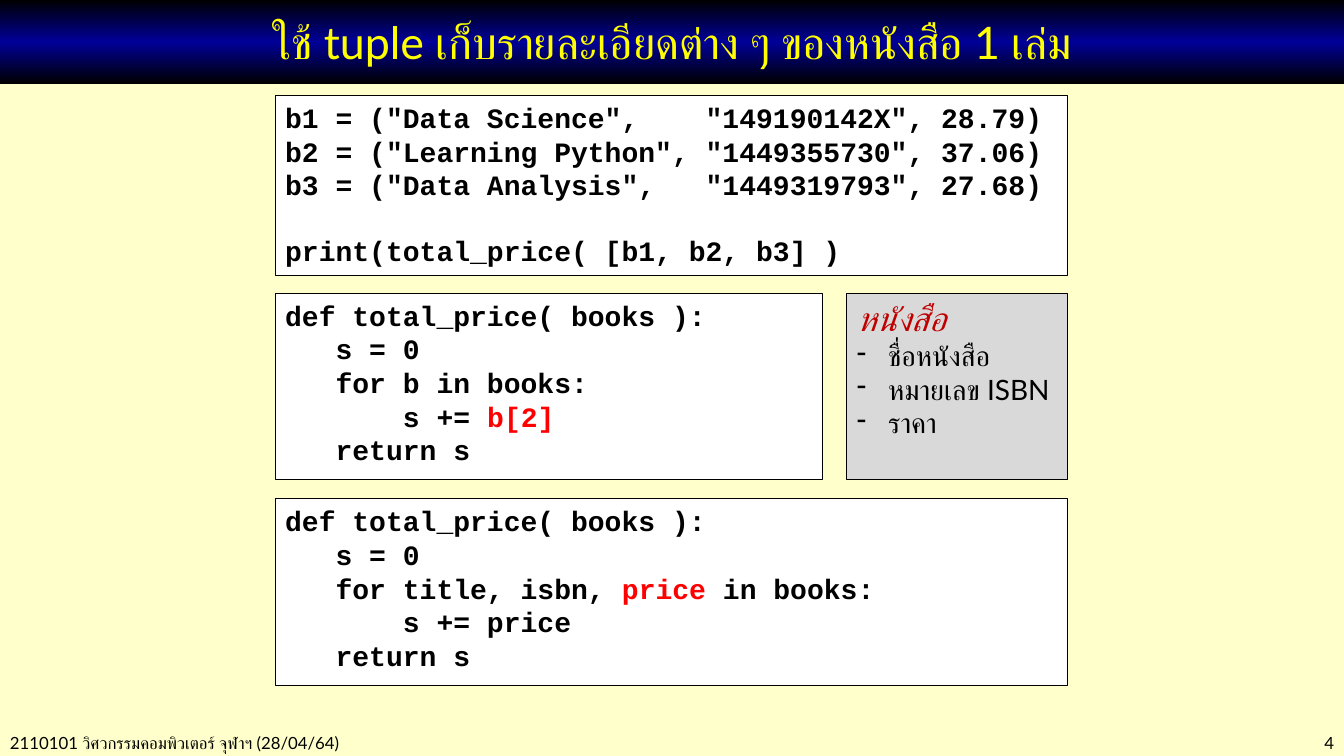
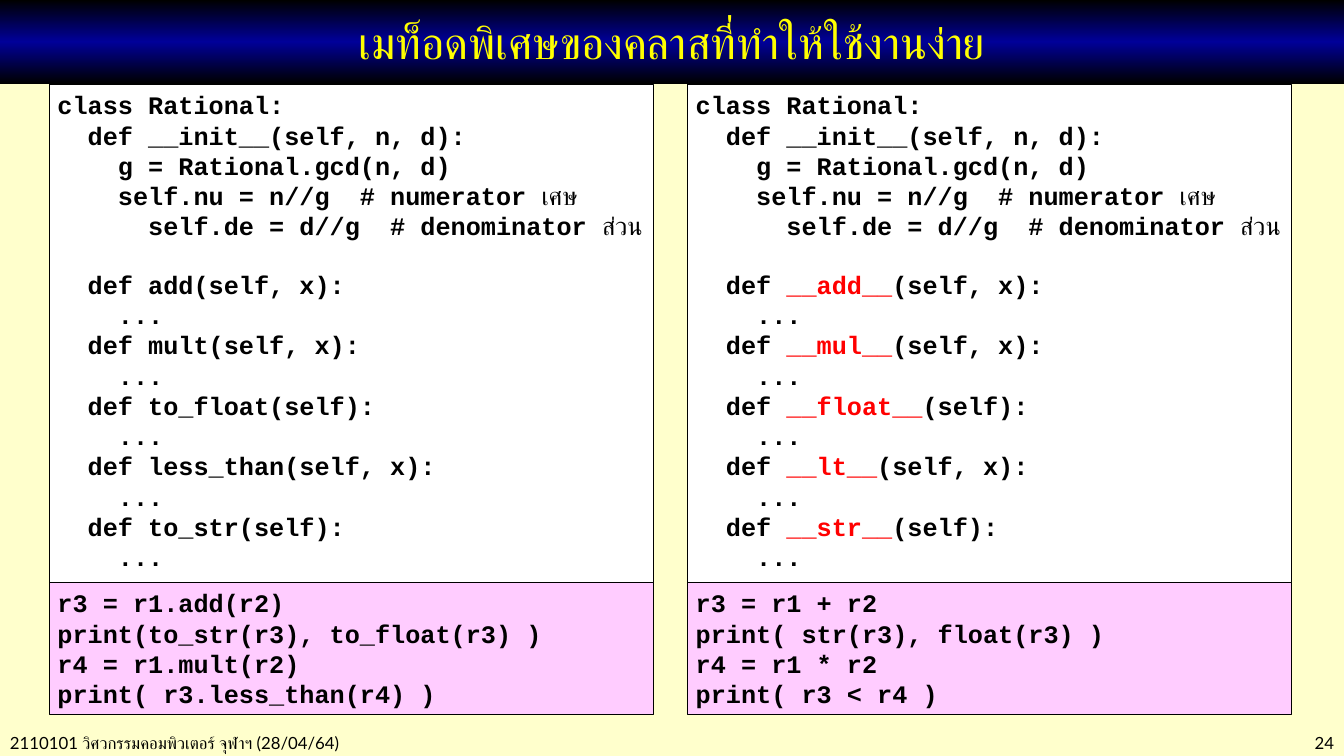
import copy

import lxml.etree
import pptx
import pptx.dml.color
import pptx.enum.shapes
import pptx.enum.text
import pptx.oxml.ns
import pptx.util

Inches = pptx.util.Inches
Points = pptx.util.Pt
Align = pptx.enum.text.PP_ALIGN
Anchor = pptx.enum.text.MSO_ANCHOR

SLIDE_WIDTH, SLIDE_HEIGHT = 13.33, 7.5
TEXT_FONT, CODE_FONT = "Lato", "Courier New"
BLACK, WHITE, CREAM, NAVY, YELLOW = "000000", "FFFFFF", "FFFFCC", "000099", "FFFF00"
RED, DARK_RED, GREY, PINK = "FF0000", "C00000", "D9D9D9", "FFCCFF"
FOOTER = "2110101 วิศวกรรมคอมพิวเตอร์ จุฬาฯ (28/04/64)"
LINE_HEIGHT = 1.13
INSETS = (0.1, 0.05, 0.1, 0.05)
NARROW_INSETS = (0.08, 0.05, 0, 0.05)

# Text between bars is emphasised; an empty line becomes space before the next one.
BOOKS_CODE = """b1 = ("Data Science",    "149190142X", 28.79)
b2 = ("Learning Python", "1449355730", 37.06)
b3 = ("Data Analysis",   "1449319793", 27.68)

print(total_price( [b1, b2, b3] )"""
INDEX_CODE = """def total_price( books ):
   s = 0
   for b in books:
       s += |b[2]|
   return s"""
UNPACK_CODE = """def total_price( books ):
   s = 0
   for title, isbn, |price| in books:
       s += price
   return s"""
CLASS_CODE = """class Rational:
  def __init__(self, n, d):
    g = Rational.gcd(n, d)
    self.nu = n//g  # numerator |เศษ|
      self.de = d//g  # denominator |ส่วน|

"""
METHOD_ARGUMENTS = ("self, x", "self, x", "self", "self, x", "self")
PLAIN_METHODS = ("add", "mult", "to_float", "less_than", "to_str")
SPECIAL_METHODS = ("|__add__|", "|__mul__|", "|__float__|", "|__lt__|", "|__str__|")
PLAIN_USE = """r3 = r1.add(r2)
print(to_str(r3), to_float(r3) )
r4 = r1.mult(r2)
print( r3.less_than(r4) )"""
SPECIAL_USE = """r3 = r1 + r2
print( str(r3), float(r3) )
r4 = r1 * r2
print( r3 < r4 )"""


def color(value):
    """Turn a hex string into a colour."""
    return pptx.dml.color.RGBColor.from_string(value)


def set_font(font, size, value=BLACK, name=TEXT_FONT):
    """Set the face, size and colour of a font."""
    font.name, font.size = name, Points(size)
    font.color.rgb = color(value)


def prepare_frame(shape, insets=INSETS, anchor=Anchor.TOP):
    """Set wrapping, margins and anchor, and return the text frame."""
    frame = shape.text_frame
    frame.word_wrap = True
    frame.vertical_anchor = anchor
    (frame.margin_left, frame.margin_top,
     frame.margin_right, frame.margin_bottom) = map(Inches, insets)
    return frame


def add_box(slide, box, fill=None):
    """Add a flat rectangle; with a fill it also gets a thin black outline."""
    shape = slide.shapes.add_shape(
        pptx.enum.shapes.MSO_SHAPE.RECTANGLE, *map(Inches, box))
    shape.shadow.inherit = False
    if fill:
        shape.fill.solid()
        shape.fill.fore_color.rgb = color(fill)
        shape.line.color.rgb = color(BLACK)
        shape.line.width = Points(0.75)
    else:
        shape.line.fill.background()
    return shape


def add_lines(frame, count):
    """Return the given number of left-aligned paragraphs of an empty frame."""
    paragraphs = [frame.paragraphs[0]]
    paragraphs += [frame.add_paragraph() for _ in range(count - 1)]
    for paragraph in paragraphs:
        paragraph.alignment = Align.LEFT
    return paragraphs


def add_code(slide, box, code, size=20, fill=WHITE, insets=INSETS):
    """Fill a box with bold code; emphasis is red, or regular weight for Thai."""
    frame = prepare_frame(add_box(slide, box, fill), insets)
    lines = code.split("\n")
    paragraphs = iter(add_lines(frame, sum(1 for line in lines if line)))
    after_gap = False
    for line in lines:
        if line:
            paragraph = next(paragraphs)
            set_font(paragraph.font, size, name=CODE_FONT)
            paragraph.font.bold = True
            if after_gap:
                paragraph.space_before = Points(round(size * LINE_HEIGHT, 1))
            for index, piece in enumerate(line.split("|")):
                if not piece:
                    continue
                run = paragraph.add_run()
                run.text = piece
                if index % 2 and piece.isascii():
                    run.font.color.rgb = color(RED)
                elif index % 2:
                    run.font.bold = False
        after_gap = not line


def add_book_fields(slide, box, heading, fields):
    """Add the grey box with an italic heading and a dashed list."""
    frame = prepare_frame(add_box(slide, box, GREY))
    first, *items = add_lines(frame, len(fields) + 1)
    first.text = heading
    set_font(first.font, 24, DARK_RED)
    first.font.italic = True
    for paragraph, field in zip(items, fields):
        paragraph.text = field
        set_font(paragraph.font, 20)
        properties = paragraph._p.get_or_add_pPr()
        properties.set("marL", str(Inches(0.31)))
        properties.set("indent", str(-Inches(0.31)))
        bullet = lxml.etree.Element(pptx.oxml.ns.qn("a:buChar"), char="-")
        properties.find(pptx.oxml.ns.qn("a:defRPr")).addprevious(bullet)


def add_title(slide, box, title):
    """Add the title band, shaded from black to navy and back."""
    band = add_box(slide, box)
    band.fill.gradient()
    band.fill.gradient_angle = 90
    first_stop = next(band._element.iter(pptx.oxml.ns.qn("a:gs")))
    first_stop.addnext(copy.deepcopy(first_stop))
    shades = ((0, BLACK), (0.5, NAVY), (1, BLACK))
    for stop, (position, shade) in zip(band.fill.gradient_stops, shades):
        stop.position = position
        stop.color.rgb = color(shade)
    paragraph = prepare_frame(band, anchor=Anchor.MIDDLE).paragraphs[0]
    paragraph.text = title
    paragraph.alignment = Align.CENTER
    set_font(paragraph.font, 32, YELLOW)


def add_footer(slide, box, text, alignment):
    """Add one piece of the footer."""
    shape = slide.shapes.add_textbox(*map(Inches, box))
    paragraph = prepare_frame(shape).paragraphs[0]
    paragraph.text = text
    paragraph.alignment = alignment
    set_font(paragraph.font, 12)


def add_slide(presentation, title, number):
    """Add a slide with background, title band and footer."""
    slide = presentation.slides.add_slide(presentation.slide_layouts[6])
    slide.background.fill.solid()
    slide.background.fill.fore_color.rgb = color(CREAM)
    add_footer(slide, (0, 7.22, 5.2, 0.3), FOOTER, Align.LEFT)
    add_footer(slide, (SLIDE_WIDTH - 1.83, 7.22, 1.83, 0.3), str(number), Align.RIGHT)
    add_title(slide, (0, 0, SLIDE_WIDTH, 0.83), title)
    return slide


def add_tuple_content(slide, box):
    """Place the book tuples above two versions of the price function."""
    left, top, width, height = box
    gap, books_height, function_height = 0.18, 1.78, 1.85
    index_width, fields_width = 5.43, 2.19
    index_top = top + books_height + gap
    add_code(slide, (left, top, width, books_height), BOOKS_CODE)
    add_book_fields(
        slide, (left + width - fields_width, index_top, fields_width, function_height),
        "หนังสือ", ("ชื่อหนังสือ", "หมายเลข ISBN", "ราคา"))
    add_code(slide, (left, index_top, index_width, function_height), INDEX_CODE)
    add_code(slide, (left, top + height - function_height, width, function_height),
             UNPACK_CODE)


def add_class_column(slide, box, methods, use):
    """Place a class listing with its use in the pink box below it."""
    left, top, width, height = box
    use_height = 1.31
    class_height = height - use_height
    listing = CLASS_CODE + "\n".join(
        f"  def {method}({arguments}):\n    ..."
        for method, arguments in zip(methods, METHOD_ARGUMENTS))
    add_code(slide, (left, top, width, class_height), listing, 18, WHITE, NARROW_INSETS)
    add_code(slide, (left, top + class_height, width, use_height),
             use, 18, PINK, NARROW_INSETS)


def main():
    """Build and save the presentation."""
    presentation = pptx.Presentation()
    presentation.slide_width = Inches(SLIDE_WIDTH)
    presentation.slide_height = Inches(SLIDE_HEIGHT)

    tuple_slide = add_slide(
        presentation, "ใช้ tuple เก็บรายละเอียดต่าง ๆ ของหนังสือ 1 เล่ม", 4)
    add_tuple_content(tuple_slide, (2.73, 0.95, 7.86, 5.85))

    method_slide = add_slide(presentation, "เมท็อดพิเศษของคลาสที่ทำให้ใช้งานง่าย", 24)
    columns = ((0.49, PLAIN_METHODS, PLAIN_USE), (6.82, SPECIAL_METHODS, SPECIAL_USE))
    for left, methods, use in columns:
        add_class_column(method_slide, (left, 0.84, 5.99, 6.25), methods, use)

    presentation.save("out.pptx")


main()
